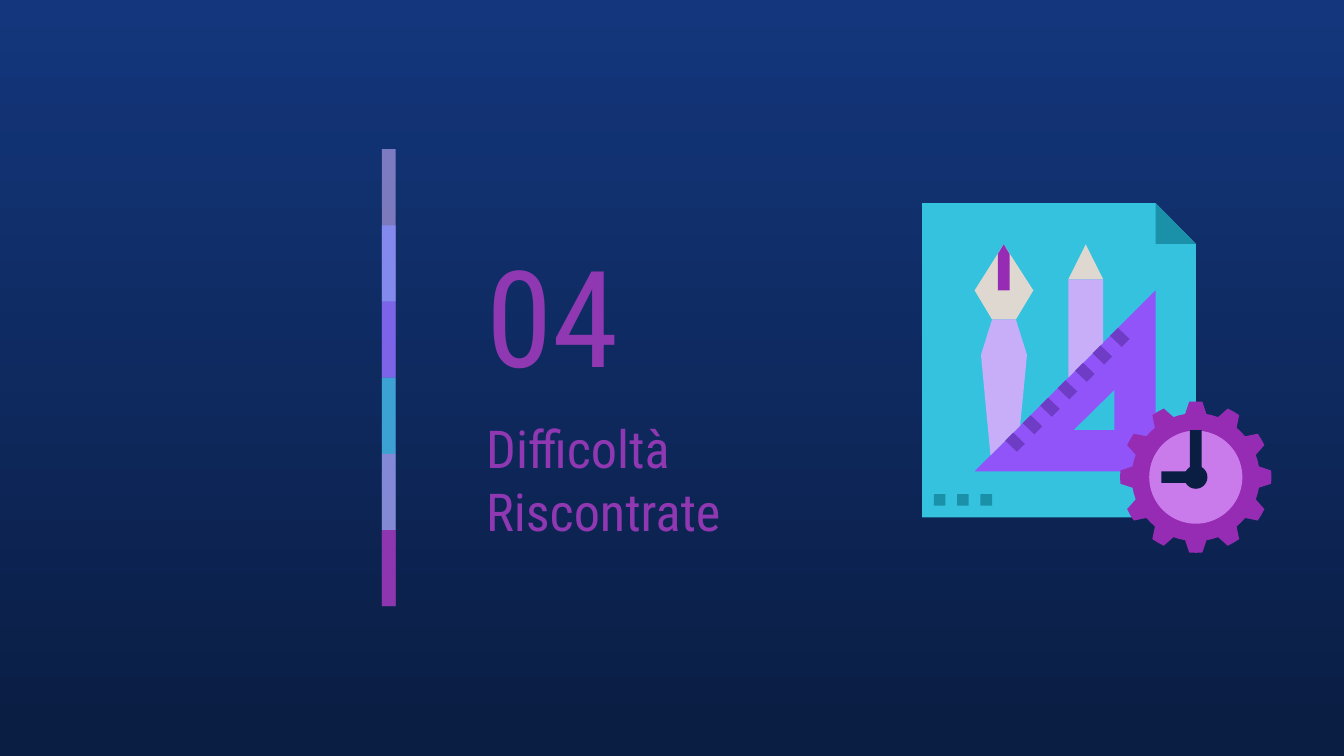
from math import cos, radians, sin
from typing import NamedTuple

from lxml.etree import SubElement
from pptx import Presentation
from pptx.dml.color import RGBColor
from pptx.enum.shapes import MSO_SHAPE as Preset
from pptx.enum.text import MSO_ANCHOR as Anchor
from pptx.oxml.ns import qn
from pptx.util import Cm, Pt

Points = list[tuple[float, float]]

FONT = "Roboto Condensed"
BLUE = RGBColor(0x13, 0x36, 0x7C)
NAVY = RGBColor(0x0A, 0x1D, 0x42)
CYAN = RGBColor(0x35, 0xC2, 0xDF)
TEAL = RGBColor(0x1B, 0x91, 0xA9)
VIOLET = RGBColor(0x91, 0x54, 0xF8)
DARK_VIOLET = RGBColor(0x6F, 0x3C, 0xC6)
PERIWINKLE = RGBColor(0x87, 0x8F, 0xFF)
LILAC = RGBColor(0xC8, 0xAE, 0xF8)
ORCHID = RGBColor(0xCA, 0x7B, 0xEB)
PURPLE = RGBColor(0x97, 0x2C, 0xB4)
TITLE_PURPLE = RGBColor(0x8F, 0x38, 0xB2)
IVORY = RGBColor(0xDE, 0xD8, 0xD0)


class Title(NamedTuple):
    text: str
    top: float
    width: float
    height: float
    size: int
    anchor: Anchor


class Band(NamedTuple):
    color: RGBColor
    opacity: int


class Outline(NamedTuple):
    color: RGBColor
    contours: list[Points]


TITLES = [
    Title("04", 4.22, 4.45, 3.43, 72, Anchor.MIDDLE),
    Title("Difficoltà \vRiscontrate", 7.62, 7.29, 2.44, 28, Anchor.TOP),
]

BANDS = [
    Band(LILAC, 59),
    Band(PERIWINKLE, 74),
    Band(VIOLET, 53),
    Band(CYAN, 76),
    Band(ORCHID, 56),
    Band(PURPLE, 74),
]
BAND_LEFT, BAND_TOP, BAND_WIDTH, BAND_STEP = 7.22, 2.82, 0.26, 1.44

CLOCK_X, CLOCK_Y = 22.6, 9.02

PAGE = Outline(CYAN, [[(17.43, 3.84), (17.43, 9.78), (22.6, 9.78), (22.6, 4.61), (21.84, 3.84)]])
FOLD = Outline(TEAL, [[(21.84, 3.84), (21.84, 4.61), (22.6, 4.61)]])
SET_SQUARE = Outline(VIOLET, [
    [(21.06, 7.37), (21.06, 8.13), (20.29, 8.13)],
    [(21.84, 5.49), (18.42, 8.91), (21.84, 8.91)],
])
PENCIL_TIP = Outline(IVORY, [[(20.52, 4.62), (20.19, 5.28), (20.85, 5.28)]])
PENCIL_BODY = Outline(LILAC, [[(20.19, 5.28), (20.19, 7.14), (20.85, 6.48), (20.85, 5.28)]])
NIB = Outline(IVORY, [[(18.97, 4.62), (18.42, 5.49), (18.75, 6.04), (19.2, 6.04), (19.53, 5.49)]])
PEN_BODY = Outline(LILAC, [[
    (18.75, 6.04), (18.54, 6.71), (18.72, 8.61), (19.28, 8.05), (19.41, 6.71), (19.2, 6.04),
]])
NIB_SLIT = Outline(PURPLE, [[
    (18.97, 4.62), (18.86, 4.8), (18.86, 5.49), (19.08, 5.49), (19.08, 4.8),
]])
CLOCK_HANDS = Outline(NAVY, [[
    (22.49, 8.13), (22.49, 8.91), (21.95, 8.91), (21.95, 9.13), (22.71, 9.13), (22.71, 8.13),
]])


def gear_outline(teeth: int = 12, tip: float = 1.43, root: float = 1.21) -> Outline:
    pitch = 360 / teeth
    profile = [(-9.6, root), (-5, tip), (0, tip), (5, tip), (9.6, root), (pitch / 2, root)]
    points = []
    for tooth in range(teeth):
        for offset, radius in profile:
            angle = radians(tooth * pitch + offset)
            points.append((CLOCK_X + radius * sin(angle), CLOCK_Y - radius * cos(angle)))
    return Outline(PURPLE, [points])


def tick_outline(index: int) -> Outline:
    """A ruler mark, stepping up the long side of the set square."""
    left, top = 19 + 0.33 * index, 8.18 - 0.33 * index
    corners = [(0.15, 0), (0, 0.15), (0.22, 0.36), (0.37, 0.21)]
    return Outline(DARK_VIOLET, [[(left + x, top + y) for x, y in corners]])


def paint(shape, color: RGBColor) -> None:
    shape.shadow.inherit = False
    shape.fill.solid()
    shape.fill.fore_color.rgb = color
    shape.line.fill.background()


def draw_preset(slide, preset: Preset, left: float, top: float, width: float, height: float,
                color: RGBColor):
    shape = slide.shapes.add_shape(preset, Cm(left), Cm(top), Cm(width), Cm(height))
    paint(shape, color)
    return shape


def draw_outline(slide, outline: Outline) -> None:
    builder = None
    for contour in outline.contours:
        start, *rest = [(Cm(x), Cm(y)) for x, y in contour]
        if builder is None:
            builder = slide.shapes.build_freeform(*start)
        else:
            builder.move_to(*start)
        builder.add_line_segments(rest, close=True)
    paint(builder.convert_to_shape(), outline.color)


def draw_clock_disc(slide, radius: float, color: RGBColor) -> None:
    draw_preset(slide, Preset.OVAL, CLOCK_X - radius, CLOCK_Y - radius,
                2 * radius, 2 * radius, color)


def draw_title(slide, title: Title) -> None:
    box = slide.shapes.add_textbox(Cm(8.94), Cm(title.top), Cm(title.width), Cm(title.height))
    frame = box.text_frame
    frame.word_wrap = True
    frame.vertical_anchor = title.anchor
    frame.margin_left = frame.margin_right = frame.margin_top = frame.margin_bottom = Cm(0.25)
    paragraph = frame.paragraphs[0]
    paragraph.text = title.text
    paragraph.font.name = FONT
    paragraph.font.size = Pt(title.size)
    paragraph.font.color.rgb = TITLE_PURPLE


def draw_bands(slide) -> None:
    """Translucent bands, each overlapping the lower half of the one before."""
    for index, band in enumerate(BANDS):
        height = BAND_STEP if index == len(BANDS) - 1 else 2 * BAND_STEP
        shape = draw_preset(slide, Preset.RECTANGLE, BAND_LEFT, BAND_TOP + index * BAND_STEP,
                            BAND_WIDTH, height, band.color)
        color = shape.fill._xPr.find(qn("a:solidFill"))[0]
        SubElement(color, qn("a:alpha")).set("val", str(band.opacity * 1000))


def draw_design_icon(slide) -> None:
    for outline in (PAGE, FOLD, SET_SQUARE, gear_outline(), PENCIL_TIP, PENCIL_BODY, NIB, PEN_BODY):
        draw_outline(slide, outline)
    draw_clock_disc(slide, 0.88, ORCHID)
    draw_outline(slide, CLOCK_HANDS)
    draw_clock_disc(slide, 0.22, NAVY)
    draw_outline(slide, NIB_SLIT)
    for index in range(7):
        draw_outline(slide, tick_outline(index))
    for index in range(3):
        draw_preset(slide, Preset.RECTANGLE, 17.65 + 0.44 * index, 9.34, 0.22, 0.22, TEAL)


def set_background(slide) -> None:
    fill = slide.background.fill
    fill.gradient()
    fill.gradient_angle = 270
    for stop, color in zip(fill.gradient_stops, (BLUE, NAVY)):
        stop.color.rgb = color


def main() -> None:
    presentation = Presentation()
    presentation.slide_width, presentation.slide_height = Cm(25.4), Cm(14.29)
    slide = presentation.slides.add_slide(presentation.slide_layouts[6])
    set_background(slide)
    for title in TITLES:
        draw_title(slide, title)
    draw_bands(slide)
    draw_design_icon(slide)
    presentation.save("out.pptx")


if __name__ == "__main__":
    main()
